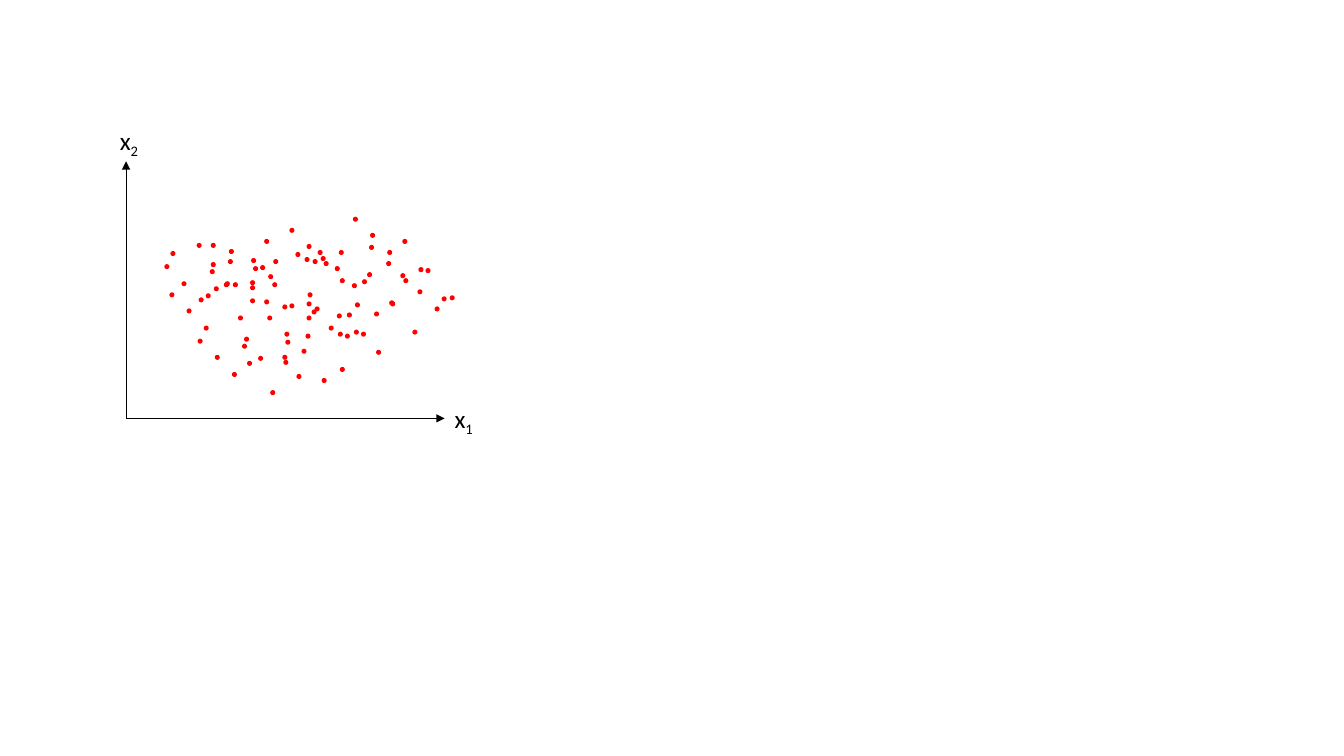
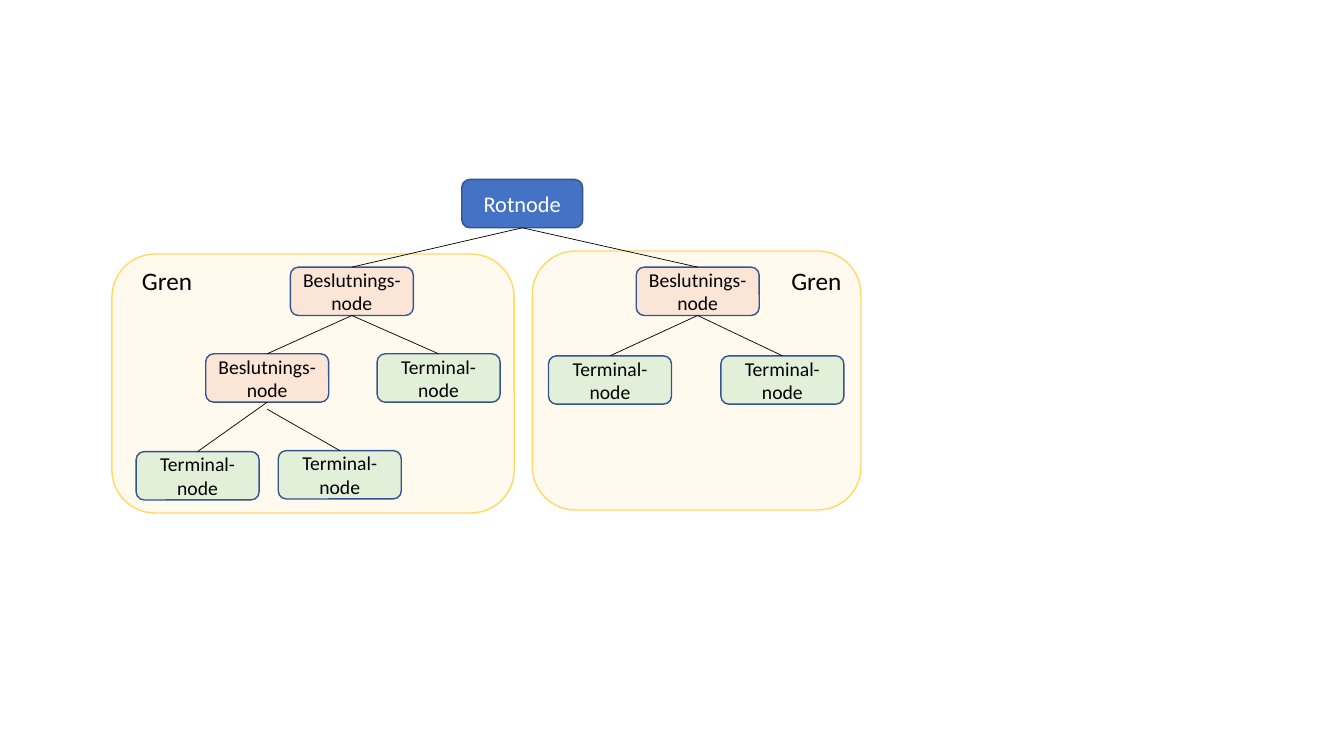
from collections import namedtuple

from lxml import etree
from pptx import Presentation
from pptx import util as u
from pptx.dml import color
from pptx.enum import shapes, text
from pptx.oxml import ns

# Shared look
PX = 9144  # EMU per px, 100 px to the inch
FONT = "Calibri"
BLACK, WHITE, RED = "000000", "FFFFFF", "FF0000"
BRANCH_FILL, BRANCH_LINE, NODE_LINE = "FFF2CC", "FFD966", "325491"
LABEL_SIZE = 18
ROUNDED = shapes.MSO_SHAPE.ROUNDED_RECTANGLE

# Scatter: one pattern of 15 dots, a to o, is stamped at several anchors
ORIGIN, X_TIP, Y_TIP = (125, 415), (441, 415), (125, 160)
DOT_SIZE = 5
PATTERN = dict(zip("abcdefghijklmno", [
    (0, 0), (28, 46), (40, 11), (54, 30), (79, 34),
    (63, -10), (147, -42), (97, 23), (102, -10), (119, -64),
    (133, 6), (182, -75), (198, -47), (169, -14), (229, -19),
]))
SHIFT_RIGHT, SHIFT_LEFT = (87, -13), (-92, -55)

# Each stamp names the dots that stay in place and those that are shifted
Stamp = namedtuple("Stamp", "anchor kept right left", defaults=("", ""))
STAMPS = [
    Stamp((168, 290), "abfgijlmno", right="deh", left="k"),
    Stamp((217, 312), "bfgjlmno", right="acd", left="ehik"),
    Stamp((185, 306), "abfghjlmo", right="cde", left="ikn"),
    Stamp((202, 323), "abcdefghijklmno"),
    Stamp((240, 341), "abcdefghijklmn"),
    Stamp((152, 233), "bh", right="de"),
    Stamp((169, 249), "abcdehk"),
    Stamp((208, 267), "abcdefhi"),
]
LOOSE_DOTS = [(283, 337), (163, 262), (251, 264), (212, 284)]

# Tree: node kinds, then every node with its place and parent
NODE_HEIGHT = 48
BOTTOM_SITE, TOP_SITE = 2, 0
Kind = namedtuple("Kind", "words fill width size ink", defaults=(122, 14, BLACK))
ROOT = Kind("Rotnode", "4472C4", 120, 16, WHITE)
DECISION = Kind("Beslutnings- node", "FBE5D6")
TERMINAL = Kind("Terminal- node", "E2F0D9")

Node = namedtuple("Node", "kind left top parent link_gap", defaults=(None, 0))
TREE = {
    "root": Node(ROOT, 458, 178),
    "left": Node(DECISION, 288, 265, "root"),
    "right": Node(DECISION, 631, 265, "root"),
    "left split": Node(DECISION, 204, 351, "left"),
    "left end": Node(TERMINAL, 374, 351, "left"),
    "lower left end": Node(TERMINAL, 135, 448, "left split"),
    "lower right end": Node(TERMINAL, 276, 447, "left split", link_gap=7),
    "right first end": Node(TERMINAL, 544, 353, "right"),
    "right second end": Node(TERMINAL, 715, 353, "right"),
}
BRANCH_PLACES = [(528, 249, 326, 257), (111, 252, 399, 257)]
BRANCH_LABEL_LEFTS, BRANCH_LABEL_TOP = (131, 775), 258


def px(*lengths):
    return [u.Emu(length * PX) for length in lengths]


def rgb(hex_string):
    return color.RGBColor.from_string(hex_string)


def moved(point, *offsets):
    """Add any number of offsets to a point."""
    return tuple(sum(values) for values in zip(point, *offsets))


def add_span(para, words, size, ink):
    span = para.add_run()
    span.text = words
    span.font.name = FONT
    span.font.size = u.Pt(size)
    span.font.color.rgb = rgb(ink)
    return span


def add_shape(page, preset, place, fill, line=None):
    shape = page.shapes.add_shape(preset, *px(*place))
    shape.shadow.inherit = False
    shape.fill.solid()
    shape.fill.fore_color.rgb = rgb(fill)
    if line:
        shape.line.color.rgb = rgb(line)
        shape.line.width = u.Pt(1)
    else:
        shape.line.fill.background()
    return shape


def add_line(page, start, end):
    line = page.shapes.add_connector(shapes.MSO_CONNECTOR.STRAIGHT, *px(*start, *end))
    line.line.color.rgb = rgb(BLACK)
    line.line.width = u.Pt(0.5)
    etree.SubElement(line._element.spPr, ns.qn("a:effectLst"))
    return line


def add_label(page, place, words, subscript=None):
    box = page.shapes.add_textbox(*px(*place))
    box.text_frame.word_wrap = False
    box.text_frame.auto_size = text.MSO_AUTO_SIZE.SHAPE_TO_FIT_TEXT
    para = box.text_frame.paragraphs[0]
    add_span(para, words, LABEL_SIZE, BLACK)
    if subscript:
        span = add_span(para, subscript, LABEL_SIZE, BLACK)
        span._r.get_or_add_rPr().set("baseline", "-25000")


def add_axis(page, tip, label_corner, number):
    axis = add_line(page, ORIGIN, tip)
    outline = axis._element.spPr.find(ns.qn("a:ln"))
    etree.SubElement(outline, ns.qn("a:tailEnd"), type="triangle")
    add_label(page, (*label_corner, 40, 40), "x", number)


def stamp_dots(stamp):
    """Corners of the dots that one stamp leaves."""
    groups = [(stamp.kept, (0, 0)), (stamp.right, SHIFT_RIGHT), (stamp.left, SHIFT_LEFT)]
    return [moved(stamp.anchor, PATTERN[letter], shift)
            for letters, shift in groups for letter in letters]


def add_branch(page, place):
    branch = add_shape(page, ROUNDED, place, BRANCH_FILL, BRANCH_LINE)
    tint = branch._element.spPr.find(".//" + ns.qn("a:srgbClr"))
    etree.SubElement(tint, ns.qn("a:alpha"), val="35000")


def add_node(page, node):
    kind = node.kind
    place = (node.left, node.top, kind.width, NODE_HEIGHT)
    box = add_shape(page, ROUNDED, place, kind.fill, NODE_LINE)
    frame = box.text_frame
    frame.word_wrap = True
    frame.vertical_anchor = text.MSO_ANCHOR.MIDDLE
    para = frame.paragraphs[0]
    para.alignment = text.PP_ALIGN.CENTER
    add_span(para, kind.words, kind.size, kind.ink)
    return box


def add_link(page, name, boxes):
    """Join a node to its parent; a link with a gap starts free below it."""
    node = TREE[name]
    parent = TREE[node.parent]
    start = (parent.left + parent.kind.width // 2, parent.top + NODE_HEIGHT + node.link_gap)
    end = (node.left + node.kind.width // 2, node.top)
    link = add_line(page, start, end)
    if not node.link_gap:
        link.begin_connect(boxes[node.parent], BOTTOM_SITE)
    link.end_connect(boxes[name], TOP_SITE)


def build_scatter(page):
    # Axes with their names
    add_axis(page, X_TIP, (441, 395), "1")
    add_axis(page, Y_TIP, (109, 119), "2")

    # Dots
    dots = [dot for stamp in STAMPS for dot in stamp_dots(stamp)]
    for corner in dots + LOOSE_DOTS:
        add_shape(page, shapes.MSO_SHAPE.OVAL, (*corner, DOT_SIZE, DOT_SIZE), RED)


def build_tree(page):
    # Branch areas lie behind the nodes
    for place in BRANCH_PLACES:
        add_branch(page, place)

    # Nodes, then the links between them
    boxes = {name: add_node(page, node) for name, node in TREE.items()}
    for name, node in TREE.items():
        if node.parent:
            add_link(page, name, boxes)

    # Branch names
    for left in BRANCH_LABEL_LEFTS:
        add_label(page, (left, BRANCH_LABEL_TOP, 71, 40), "Gren")


def main():
    deck = Presentation()
    deck.slide_width, deck.slide_height = u.Inches(13.33), u.Inches(7.5)
    for build in (build_scatter, build_tree):
        build(deck.slides.add_slide(deck.slide_layouts[6]))
    deck.save("out.pptx")


if __name__ == "__main__":
    main()
